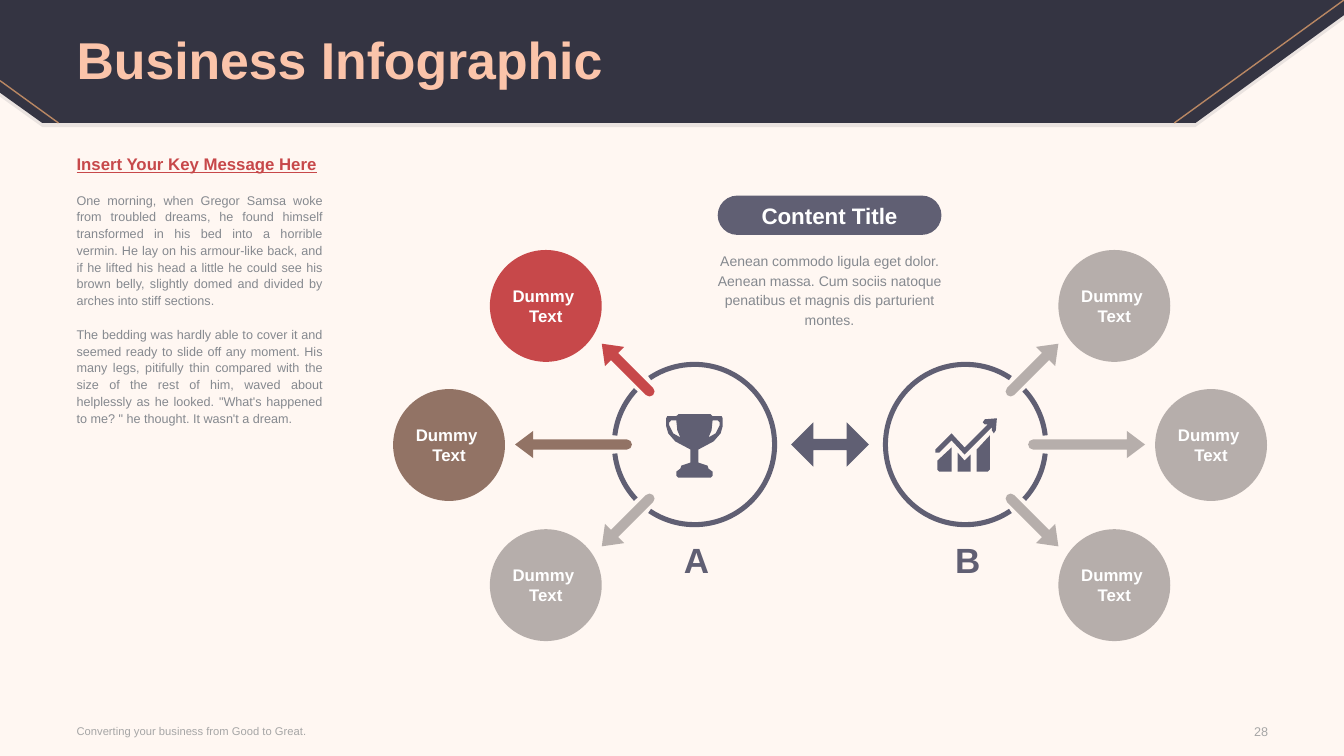
from math import cos, hypot, radians, sin, tan

from lxml.etree import SubElement
from pptx import Presentation
from pptx.dml.color import RGBColor
from pptx.enum.shapes import MSO_CONNECTOR, MSO_SHAPE
from pptx.enum.text import MSO_ANCHOR, PP_ALIGN
from pptx.oxml.ns import qn
from pptx.util import Inches, Pt

COLORS = {
    "cream": "FFF7F2", "navy": "343442", "peach": "FBC4AA", "gold": "B98763",
    "red": "C7484A", "brown": "927365", "stone": "B6AEAB", "slate": "605F73",
    "text": "85898F", "footer": "A6A6A6", "white": "FFFFFF",
}
WIDTH = 40 / 3
MIRROR = 16.47  # a point and its partner have x values that add up to this
MIDDLE = 4.41


def color(name):
    return RGBColor.from_string(COLORS[name])


def write(paras, frame, size=12, tint="text", bold=False, underline=False,
          align=PP_ALIGN.LEFT, anchor=MSO_ANCHOR.TOP, spacing=None, before=0):
    """Add paragraphs to a text frame; its very first gets no space before."""
    frame.margin_left = frame.margin_right = 0
    frame.margin_top = frame.margin_bottom = 0
    frame.word_wrap = True
    frame.vertical_anchor = anchor
    for text in paras:
        first = not frame.text
        para = frame.paragraphs[0] if first else frame.add_paragraph()
        para.alignment = align
        if spacing:
            para.line_spacing = spacing
        if before and not first:
            para.space_before = Pt(before)
        span = para.add_run()
        span.text = text
        span.font.name = "Arial"
        span.font.size = Pt(size)
        span.font.bold = bold
        span.font.underline = underline
        span.font.color.rgb = color(tint)


def arc(center, radius, *angles):
    """Steps of a circular arc: its start point, then one curve per angle."""
    def spot(angle, push=0):
        a = radians(angle)
        return (center[0] + radius * (cos(a) - push * sin(a)),
                center[1] + radius * (sin(a) + push * cos(a)))

    steps = [spot(angles[0])]
    for start, end in zip(angles, angles[1:]):
        push = 4 / 3 * tan(radians(end - start) / 4)
        steps.append((*spot(start, push), *spot(end, -push), *spot(end)))
    return steps


class Canvas:
    def __init__(self, page):
        self.page = page
        page.background.fill.solid()
        page.background.fill.fore_color.rgb = color("cream")

    def paint(self, shape, tint):
        shape.shadow.inherit = False
        shape.fill.solid()
        shape.fill.fore_color.rgb = color(tint)
        shape.line.fill.background()
        return shape

    def text(self, left, top, width, height, *paras, **style):
        box = self.page.shapes.add_textbox(
            Inches(left), Inches(top), Inches(width), Inches(height))
        write(paras, box.text_frame, **style)
        return box.text_frame

    def shape(self, kind, left, top, width, height, tint, *paras, **style):
        shape = self.page.shapes.add_shape(
            kind, Inches(left), Inches(top), Inches(width), Inches(height))
        if paras:
            write(paras, shape.text_frame, tint="white", bold=True,
                  align=PP_ALIGN.CENTER, anchor=MSO_ANCHOR.MIDDLE, **style)
        return self.paint(shape, tint)

    def outline(self, tint, *contours):
        """A filled outline; a step of six numbers is a curve, of two a line."""
        contours = [[[Inches(v) for v in step] for step in contour] for contour in contours]
        builder = self.page.shapes.build_freeform(*contours[0][0])
        for index, contour in enumerate(contours):
            if index:
                builder.move_to(*contour[0][-2:])
            builder.add_line_segments([step[-2:] for step in contour[1:]], close=True)
        shape = builder.convert_to_shape()
        steps = [step for contour in contours for step in contour[1:]]
        for step, segment in zip(steps, list(shape._element.iter(qn("a:lnTo")))):
            if len(step) == 6:
                segment.tag = qn("a:cubicBezTo")
                segment.remove(segment[0])
                for x, y in zip(step[::2], step[1::2]):
                    SubElement(segment, qn("a:pt"), x=str(x - shape.left), y=str(y - shape.top))
        return self.paint(shape, tint)

    def line(self, x1, y1, x2, y2, tint):
        line = self.page.shapes.add_connector(
            MSO_CONNECTOR.STRAIGHT, Inches(x1), Inches(y1), Inches(x2), Inches(y2))
        line.line.color.rgb = color(tint)
        line.line.width = Pt(1)
        SubElement(line._element.spPr, qn("a:effectLst"))

    def ring(self, center, turn):
        """A circle with three gaps, opposite the direction of turn."""
        contours = []
        for angles in [(-124, -90, 0, 90, 124), (137, 173.5), (186.5, 223)]:
            angles = [angle + turn for angle in angles]
            inner = arc((center, MIDDLE), 0.77, *angles[::-1])
            contours.append(arc((center, MIDDLE), 0.82, *angles) + inner)
        self.outline("slate", *contours)

    def arrow(self, tip, direction, length, tint):
        """An arrow with a round tail, pointing along direction."""
        reach = hypot(*direction)
        ux, uy = direction[0] / reach, direction[1] / reach
        half = 0.05
        tail = arc((length - half, 0), half, 90, 0, -90)
        local = [(0, 0), (0.18, 0.135), (0.18, half), *tail, (0.18, -half), (0.18, -0.135)]
        self.outline(tint, [
            [value for along, across in zip(step[::2], step[1::2])
             for value in (tip[0] - along * ux - across * uy, tip[1] - along * uy + across * ux)]
            for step in local])


def draw_header(canvas):
    def band(drop):
        return [(x, y + drop) for x, y in [(0, 0), (WIDTH, 0), (WIDTH, 0.15),
                                           (11.86, 1.22), (0.42, 1.22), (0, 0.92)]]

    shade = canvas.outline("navy", band(0.04))
    fill_color = shade._element.spPr.find(qn("a:solidFill"))[0]
    SubElement(fill_color, qn("a:alpha")).set("val", "10000")
    canvas.outline("navy", band(0))
    canvas.line(WIDTH, 0, 11.65, 1.22, "gold")
    canvas.line(0.58, 1.22, 0, 0.8, "gold")
    canvas.text(0.76, 0.04, 11.81, 1.17, "Business Infographic", size=37, tint="peach",
                bold=True, anchor=MSO_ANCHOR.MIDDLE, spacing=0.9)


def draw_trophy(canvas):
    def flip(points):
        return [(2 * 6.89 - x, y) for x, y in reversed(points)]

    half = [(6.73, 4.11), (6.71, 4.13), (6.62, 4.13), (6.61, 4.15), (6.61, 4.23),
            (6.63, 4.3), (6.7, 4.38), (6.85, 4.46), (6.85, 4.59), (6.76, 4.62),
            (6.75, 4.65), (6.71, 4.68), (6.71, 4.72), (6.73, 4.74)]
    handle = [(6.64, 4.22), (6.64, 4.19), (6.66, 4.17), (6.71, 4.17), (6.72, 4.27),
              (6.75, 4.34), (6.68, 4.3)]
    canvas.outline("slate", half + flip(half), handle, flip(handle))


def draw_growth(canvas):
    bars = [
        [(9.3, 4.57), (9.44, 4.44), (9.44, 4.68), (9.32, 4.68), (9.3, 4.66)],
        [(9.5, 4.49), (9.57, 4.57), (9.63, 4.51), (9.63, 4.68), (9.5, 4.68)],
        [(9.69, 4.46), (9.82, 4.32), (9.82, 4.66), (9.8, 4.68), (9.69, 4.68)],
    ]
    trend = [(9.28, 4.46), (9.44, 4.3), (9.57, 4.44), (9.8, 4.21), (9.77, 4.21),
             (9.75, 4.19), (9.77, 4.16), (9.89, 4.15), (9.88, 4.27), (9.86, 4.3),
             (9.84, 4.27), (9.84, 4.24), (9.57, 4.51), (9.44, 4.37), (9.32, 4.49),
             (9.28, 4.49)]
    canvas.outline("slate", *bars, trend)


def draw_hubs(canvas):
    for letter, center, turn in [("A", 6.89, 0), ("B", MIRROR - 6.89, 180)]:
        canvas.ring(center, turn)
        canvas.text(center - 0.46, 5.34, 0.96, 0.42, letter, size=25, tint="slate", bold=True,
                    align=PP_ALIGN.CENTER, anchor=MSO_ANCHOR.MIDDLE)
    both = canvas.shape(MSO_SHAPE.LEFT_RIGHT_ARROW, 7.85, 4.19, 0.77, 0.44, "slate")
    both.adjustments[0], both.adjustments[1] = 0.25, 0.5
    draw_trophy(canvas)
    draw_growth(canvas)


def draw_spokes(canvas):
    # circle left and top, arrow tip, rise, length, colour on the left
    spokes = [
        (4.86, 2.48, (5.97, 3.41), -1, 0.72, "red"),
        (3.9, 3.86, (5.11, MIDDLE), 0, 1.16, "brown"),
        (4.86, 5.25, (5.97, 5.42), 1, 0.72, "stone"),
    ]
    size = 1.11
    for left, top, (x, y), rise, length, tint in spokes:
        sides = [(left, x, -1, tint), (MIRROR - left - size, MIRROR - x, 1, "stone")]
        for circle_left, tip_x, run, shade in sides:
            canvas.arrow((tip_x, y), (run, rise), length, shade)
            canvas.shape(MSO_SHAPE.OVAL, circle_left, top, size, size, shade, "Dummy ", "Text")


def main():
    deck = Presentation()
    deck.slide_width, deck.slide_height = Inches(WIDTH), Inches(7.5)
    canvas = Canvas(deck.slides.add_slide(deck.slide_layouts[6]))
    draw_header(canvas)

    # Key message column
    column = {"align": PP_ALIGN.JUSTIFY, "spacing": Pt(12), "before": 12}
    frame = canvas.text(0.76, 1.56, 2.44, 5.19, "Insert Your Key Message Here",
                        tint="red", bold=True, underline=True, **column)
    write([
        "One morning, when Gregor Samsa woke from troubled dreams, he found himself "
        "transformed in his bed into a horrible vermin. He lay on his armour-like back, and "
        "if he lifted his head a little he could see his brown belly, slightly domed and "
        "divided by arches into stiff sections.",
        "The bedding was hardly able to cover it and seemed ready to slide off any moment. "
        "His many legs, pitifully thin compared with the size of the rest of him, waved about "
        "helplessly as he looked. \"What's happened to me? \" he thought. It wasn't a dream.",
    ], frame, size=9, **column)

    # Diagram
    draw_hubs(canvas)
    draw_spokes(canvas)

    # Content title and description
    pill = canvas.shape(MSO_SHAPE.ROUNDED_RECTANGLE, 7.12, 1.94, 2.22, 0.39, "slate",
                        "Content Title", size=16)
    pill.adjustments[0] = 0.5
    canvas.text(7.01, 2.48, 2.44, 0.79,
                "Aenean commodo ligula eget dolor. Aenean massa. Cum sociis natoque "
                "penatibus et magnis dis parturient montes.",
                size=10, align=PP_ALIGN.CENTER, spacing=Pt(14))

    # Footer
    canvas.text(0.76, 7.12, 5.23, 0.26, "Converting your business from Good to Great.",
                size=8, tint="footer", anchor=MSO_ANCHOR.MIDDLE)
    canvas.text(11.95, 7.13, 0.63, 0.26, "28", size=9, tint="footer",
                align=PP_ALIGN.RIGHT, anchor=MSO_ANCHOR.MIDDLE)
    deck.save("out.pptx")


if __name__ == "__main__":
    main()
